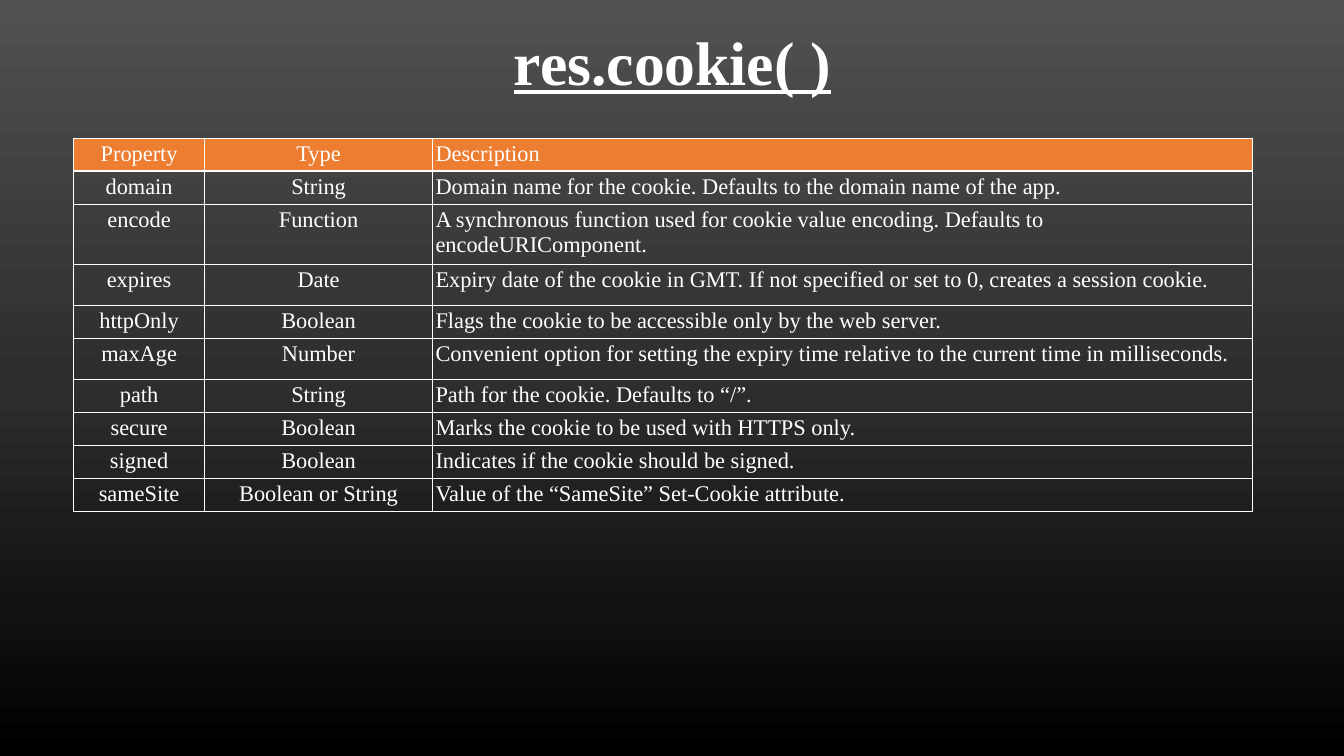
import copy
import pptx
import pptx.dml.color
import pptx.enum.text
import pptx.oxml
import pptx.oxml.ns
import pptx.util

TITLE = "res.cookie( )"
HEADER = ("Property", "Type", "Description")
PROPERTIES = [
    ("domain", "String", "Domain name for the cookie. Defaults to the domain name of the app."),
    ("encode", "Function", "A synchronous function used for cookie value encoding. Defaults to encodeURIComponent."),
    ("expires", "Date", "Expiry date of the cookie in GMT. If not specified or set to 0, creates a session cookie."),
    ("httpOnly", "Boolean", "Flags the cookie to be accessible only by the web server."),
    ("maxAge", "Number", "Convenient option for setting the expiry time relative to the current time in milliseconds."),
    ("path", "String", "Path for the cookie. Defaults to “/”."),
    ("secure", "Boolean", "Marks the cookie to be used with HTTPS only."),
    ("signed", "Boolean", "Indicates if the cookie should be signed."),
    ("sameSite", "Boolean or String", "Value of the “SameSite” Set-Cookie attribute."),
]
THEME = {
    "font": "Times New Roman", "text": "FFFFFF", "header": "ED7D31",
    "title_size": 44, "cell_size": 16, "border_width": 1,
    "background": [(0, "515151"), (0.5, "2E2E2E"), (1, "000000")],
}
SLIDE_SIZE = (13.33, 7.5)
TITLE_BOX = (0.92, 0.22, 11.5, 0.86)
TABLE_ORIGIN = (0.73, 1.37)
COLUMN_WIDTHS = (1.3, 2.26, 8.13)
LINE_HEIGHT = 0.3
TALL_ROWS = {"domain": 0.33, "encode": 0.55, "expires": 0.41, "maxAge": 0.41}
CELL_MARGIN = 0.03

inches = pptx.util.Inches
CENTER = pptx.enum.text.PP_ALIGN.CENTER
LEFT = pptx.enum.text.PP_ALIGN.LEFT


def color(value):
    return pptx.dml.color.RGBColor.from_string(value)


def set_all(target, values):
    for name, value in values.items():
        setattr(target, name, value)


def write(paragraph, text, size, alignment, **style):
    paragraph.alignment = alignment
    run = paragraph.add_run()
    run.text = text
    set_all(run.font, {"name": THEME["font"], "size": pptx.util.Pt(size), **style})
    run.font.color.rgb = color(THEME["text"])


def paint_background(slide):
    fill = slide.background.fill
    fill.gradient()
    fill.gradient_angle = 270
    stop_list = slide.element.find(".//" + pptx.oxml.ns.qn("a:gsLst"))
    stop_list.insert(1, copy.deepcopy(stop_list[0]))
    for stop, (position, value) in zip(fill.gradient_stops, THEME["background"]):
        stop.position = position
        stop.color.rgb = color(value)


def add_borders(cell):
    properties = cell._tc.get_or_add_tcPr()
    width = pptx.util.Pt(THEME["border_width"])
    for index, side in enumerate(("lnL", "lnR", "lnT", "lnB")):
        properties.insert(index, pptx.oxml.parse_xml(
            f'<a:{side} {pptx.oxml.ns.nsdecls("a")} w="{width}"><a:solidFill>'
            f'<a:srgbClr val="{THEME["text"]}"/></a:solidFill></a:{side}>'))


def add_title(slide):
    frame = slide.shapes.add_textbox(*map(inches, TITLE_BOX)).text_frame
    set_all(frame, {"word_wrap": True, "vertical_anchor": pptx.enum.text.MSO_ANCHOR.MIDDLE})
    frame.paragraphs[0].line_spacing = 0.9
    write(frame.paragraphs[0], TITLE, THEME["title_size"], CENTER, bold=True, underline=True)


def add_property_table(slide):
    rows = [HEADER, *PROPERTIES]
    heights = [TALL_ROWS.get(row[0], LINE_HEIGHT) for row in rows]
    size = (sum(COLUMN_WIDTHS), sum(heights))
    table = slide.shapes.add_table(
        len(rows), len(HEADER), *map(inches, TABLE_ORIGIN + size)).table
    set_all(table, {"first_row": False, "horz_banding": False})
    for column, width in zip(table.columns, COLUMN_WIDTHS):
        column.width = inches(width)
    margins = {f"margin_{side}": inches(CELL_MARGIN) for side in ("left", "right", "top", "bottom")}
    for row_index, row in enumerate(rows):
        table.rows[row_index].height = inches(heights[row_index])
        for column_index, text in enumerate(row):
            cell = table.cell(row_index, column_index)
            set_all(cell, margins)
            if row_index == 0:
                cell.fill.solid()
                cell.fill.fore_color.rgb = color(THEME["header"])
            else:
                cell.fill.background()
            add_borders(cell)
            alignment = LEFT if HEADER[column_index] == "Description" else CENTER
            write(cell.text_frame.paragraphs[0], text, THEME["cell_size"], alignment, bold=False)


def main():
    presentation = pptx.Presentation()
    presentation.slide_width, presentation.slide_height = map(inches, SLIDE_SIZE)
    slide = presentation.slides.add_slide(presentation.slide_layouts[6])
    paint_background(slide)
    add_title(slide)
    add_property_table(slide)
    presentation.save("out.pptx")


if __name__ == "__main__":
    main()
